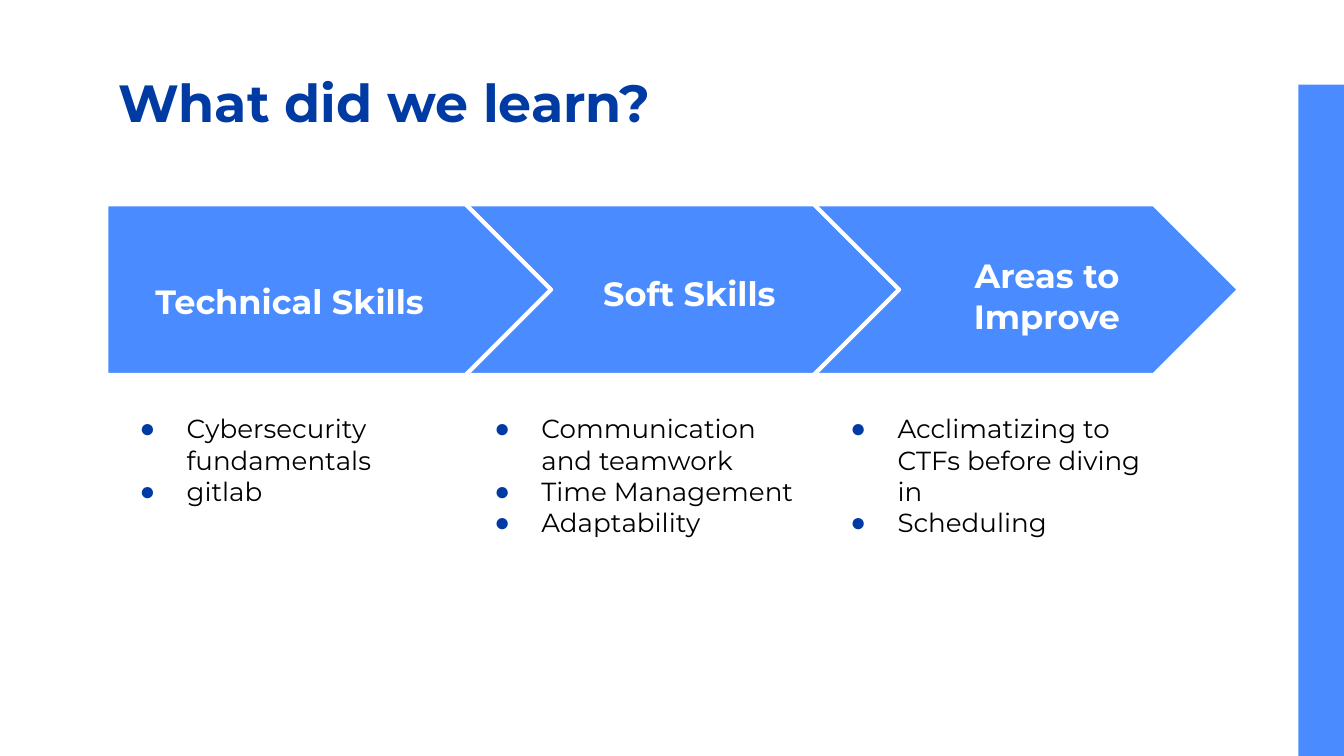
from dataclasses import dataclass

import pptx
import pptx.dml.color
import pptx.enum.shapes
import pptx.enum.text
import pptx.oxml
import pptx.oxml.ns
import pptx.util
from pptx.util import Inches


@dataclass(frozen=True)
class Theme:
    font: str = "Montserrat"
    bullet_font: str = "Arial"
    navy: str = "003BA3"
    blue: str = "4A8CFF"
    white: str = "FFFFFF"
    black: str = "000000"
    title_size: int = 28
    label_size: int = 18
    item_size: int = 14


@dataclass(frozen=True)
class Stage:
    label: str
    items: tuple
    arrow_left: float
    label_box: tuple
    items_left: float


THEME = Theme()
ARROW_TOP, ARROW_WIDTH, ARROW_HEIGHT = 1.52, 3.31, 1.27
ITEMS_TOP, ITEMS_WIDTH, ITEMS_HEIGHT = 2.97, 2.66, 1.82
STAGES = (
    Stage("Technical Skills", ("Cybersecurity fundamentals", "gitlab"),
          0.79, (0.9, 1.99, 2.51, 0.5), 0.79),
    Stage("Soft Skills",
          ("Communication and teamwork", "Time Management", "Adaptability"),
          3.38, (4.18, 1.93, 1.9, 0.5), 3.43),
    Stage("Areas to Improve",
          ("Acclimatizing to CTFs before diving in", "Scheduling"),
          5.91, (6.84, 1.8, 1.9, 0.5), 6.08),
)


def rgb(color):
    return pptx.dml.color.RGBColor.from_string(color)


def add_run(paragraph, text, size, color, bold=False):
    run = paragraph.add_run()
    run.text = text
    run.font.name = THEME.font
    run.font.size = pptx.util.Pt(size)
    run.font.bold = bold
    run.font.color.rgb = rgb(color)


def set_frame(frame):
    frame.word_wrap = True
    frame.auto_size = pptx.enum.text.MSO_AUTO_SIZE.NONE
    frame.vertical_anchor = pptx.enum.text.MSO_ANCHOR.TOP
    frame.margin_left = frame.margin_right = Inches(0.1)
    frame.margin_top = frame.margin_bottom = Inches(0.1)


def add_text_frame(slide, box):
    frame = slide.shapes.add_textbox(*map(Inches, box)).text_frame
    set_frame(frame)
    return frame


def add_block(slide, preset, box):
    block = slide.shapes.add_shape(preset, *map(Inches, box))
    block.shadow.inherit = False
    block.fill.solid()
    block.fill.fore_color.rgb = rgb(THEME.blue)
    block.line.fill.background()
    return block


def add_side_bar(slide):
    """Draw the bar upright, then turn it to stand at the right edge."""
    bar = add_block(slide, pptx.enum.shapes.MSO_SHAPE.RECTANGLE,
                    (7.33, 2.96, 5, 0.34))
    bar.rotation = 90


def add_arrow(slide, left):
    arrow = add_block(slide, pptx.enum.shapes.MSO_SHAPE.PENTAGON,
                      (left, ARROW_TOP, ARROW_WIDTH, ARROW_HEIGHT))
    arrow.adjustments[0] = 0.5
    arrow.line.color.rgb = rgb(THEME.white)
    arrow.line.width = pptx.util.Pt(2.25)


def set_title(slide, text):
    title = slide.shapes.title
    title.left, title.top, title.width, title.height = map(
        Inches, (0.78, 0.42, 8.43, 0.71))
    set_frame(title.text_frame)
    paragraph = title.text_frame.paragraphs[0]
    paragraph.alignment = pptx.enum.text.PP_ALIGN.LEFT
    add_run(paragraph, text, THEME.title_size, THEME.navy, bold=True)


def add_label(slide, stage):
    paragraph = add_text_frame(slide, stage.label_box).paragraphs[0]
    paragraph.alignment = pptx.enum.text.PP_ALIGN.CENTER
    paragraph.space_after = pptx.util.Pt(16)
    add_run(paragraph, stage.label, THEME.label_size, THEME.white, bold=True)


def set_bullet(paragraph):
    properties = paragraph._p.get_or_add_pPr()
    properties.set("marL", str(Inches(0.5)))
    properties.set("indent", str(Inches(-0.35)))
    namespace = pptx.oxml.ns.nsdecls("a")
    for xml in (
        f'<a:buClr {namespace}><a:srgbClr val="{THEME.navy}"/></a:buClr>',
        f'<a:buFont {namespace} typeface="{THEME.bullet_font}"/>',
        f'<a:buChar {namespace} char="●"/>',
    ):
        properties.append(pptx.oxml.parse_xml(xml))


def add_items(slide, stage):
    frame = add_text_frame(
        slide, (stage.items_left, ITEMS_TOP, ITEMS_WIDTH, ITEMS_HEIGHT))
    for index, item in enumerate(stage.items):
        paragraph = frame.add_paragraph() if index else frame.paragraphs[0]
        set_bullet(paragraph)
        add_run(paragraph, item, THEME.item_size, THEME.black)


def main():
    presentation = pptx.Presentation()
    presentation.slide_width = Inches(10)
    presentation.slide_height = Inches(10) * 9 // 16
    slide = presentation.slides.add_slide(presentation.slide_layouts[5])

    set_title(slide, "What did we learn?")
    add_side_bar(slide)
    # Each arrow's tip lies over the next one, so the last is drawn first.
    for stage in reversed(STAGES):
        add_arrow(slide, stage.arrow_left)
    for stage in STAGES:
        add_label(slide, stage)
        add_items(slide, stage)

    presentation.save("out.pptx")


if __name__ == "__main__":
    main()
